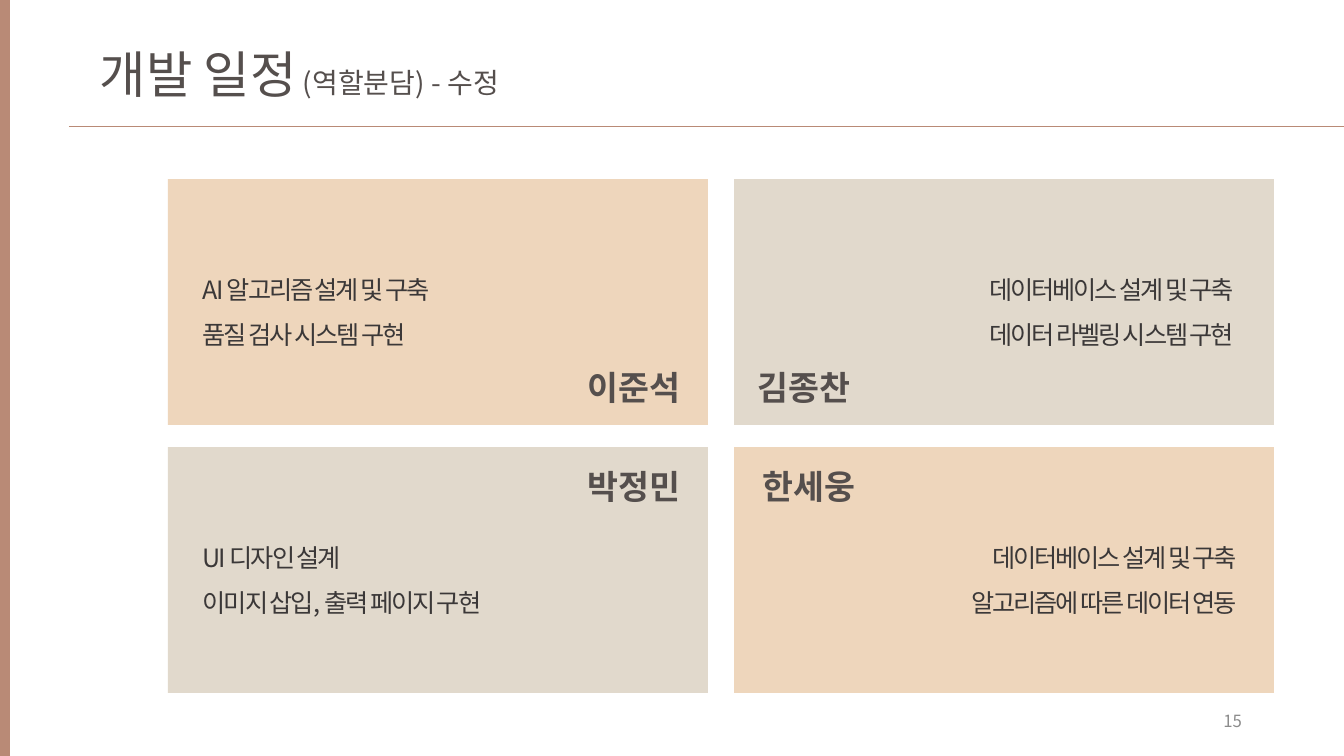
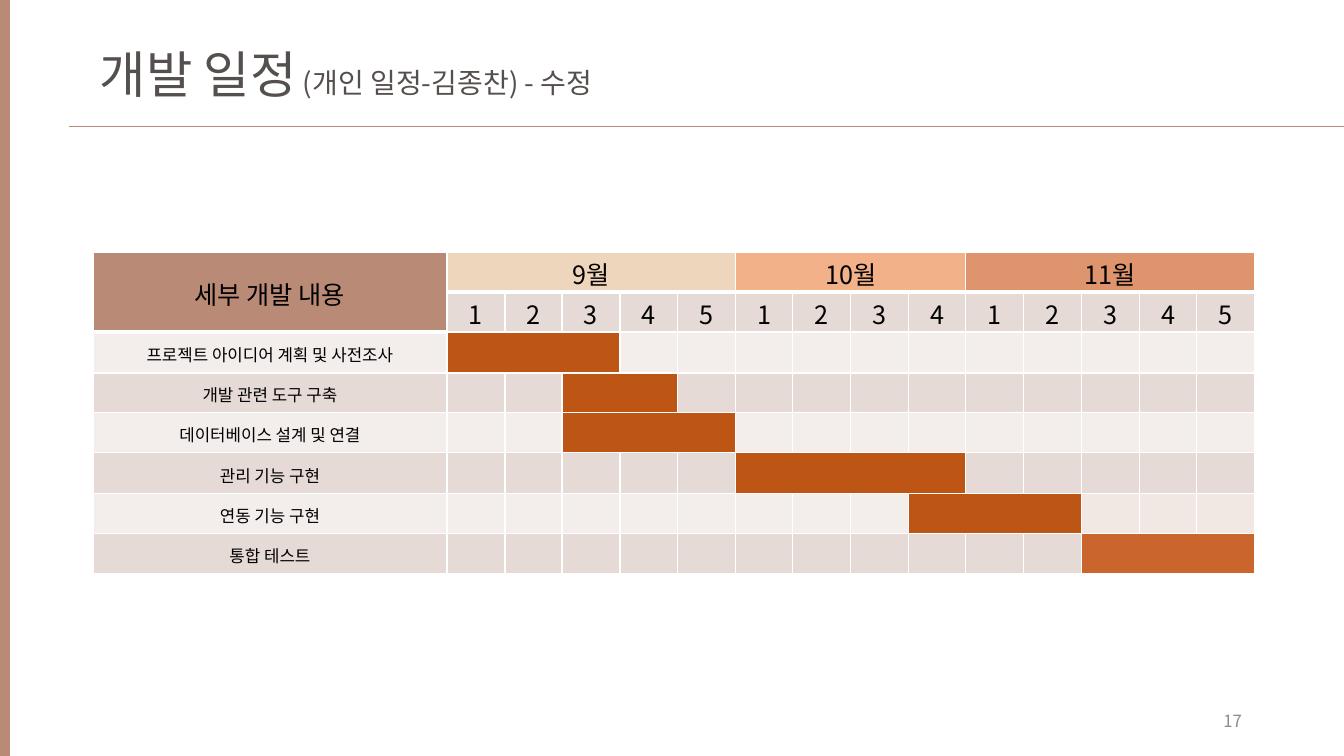
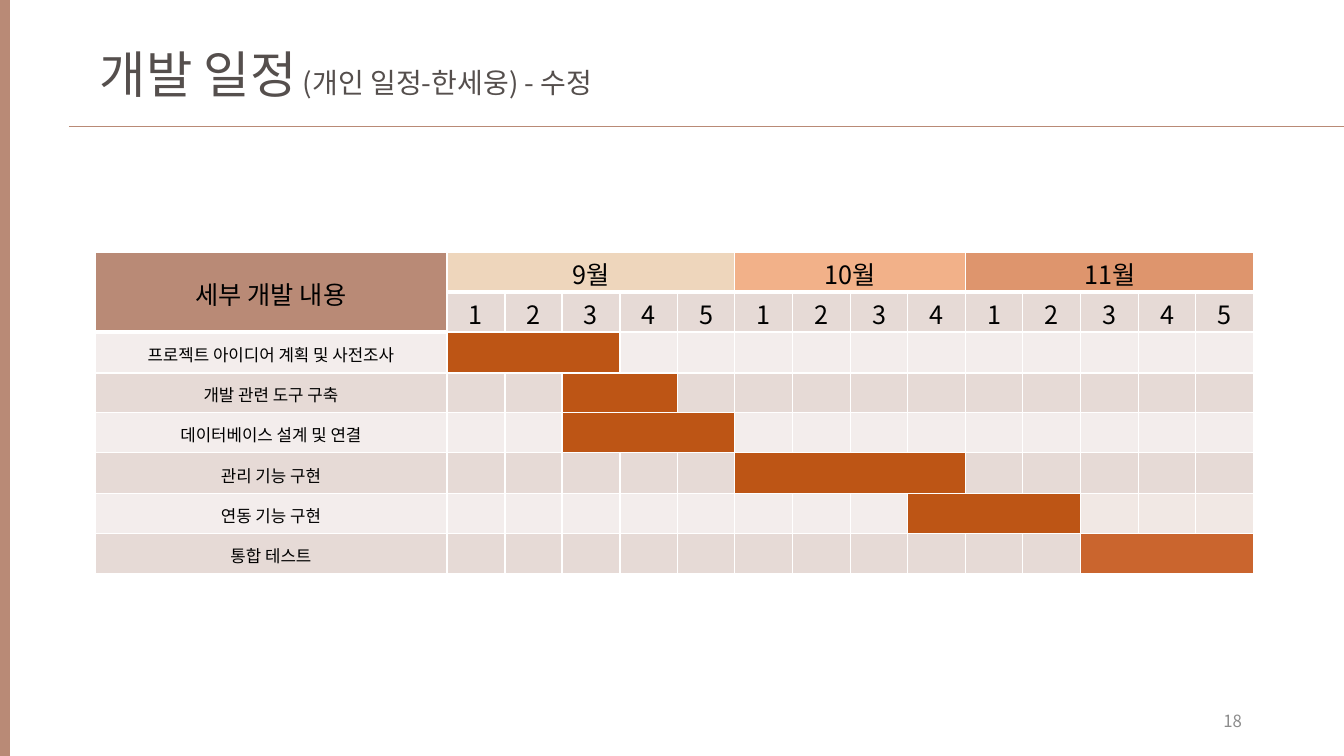
import pptx
import pptx.dml.color
import pptx.enum.shapes
import pptx.enum.text
import pptx.oxml.ns
import pptx.util
from lxml import etree

RGBColor = pptx.dml.color.RGBColor
ALIGN = pptx.enum.text.PP_ALIGN
ANCHOR = pptx.enum.text.MSO_ANCHOR
qn = pptx.oxml.ns.qn

PX = 914400 / 100.8
WIDTH, HEIGHT = 1344, 756
FONT = "Noto Sans CJK KR"

WHITE = RGBColor(0xFF, 0xFF, 0xFF)
BLACK = RGBColor(0x00, 0x00, 0x00)
BROWN = RGBColor(0xB9, 0x8A, 0x76)
TITLE_GREY = RGBColor(0x55, 0x4F, 0x4D)
BODY_GREY = RGBColor(0x3B, 0x38, 0x38)
NUMBER_GREY = RGBColor(0x8C, 0x8C, 0x8C)
PEACH = RGBColor(0xEE, 0xD6, 0xBC)
SAND = RGBColor(0xE1, 0xD9, 0xCC)
APRICOT = RGBColor(0xF2, 0xB1, 0x89)
COPPER = RGBColor(0xDE, 0x95, 0x6D)
ROW_LIGHT = RGBColor(0xF3, 0xED, 0xEC)
ROW_DARK = RGBColor(0xE6, 0xDA, 0xD6)
ROW_WARM = RGBColor(0xF1, 0xE8, 0xE4)
BAR = RGBColor(0xBD, 0x55, 0x15)
BAR_LAST = RGBColor(0xCA, 0x65, 0x2E)

MONTHS = [("9월", 5, PEACH), ("10월", 4, APRICOT), ("11월", 5, COPPER)]
WEEKS = sum(count for _, count, _ in MONTHS)
# task, first week column, number of weeks, bar colour
TASKS = [
    ("프로젝트 아이디어 계획 및 사전조사", 1, 3, BAR),
    ("개발 관련 도구 구축", 3, 2, BAR),
    ("데이터베이스 설계 및 연결", 3, 3, BAR),
    ("관리 기능 구현", 6, 4, BAR),
    ("연동 기능 구현", 9, 3, BAR),
    ("통합 테스트", 12, 3, BAR_LAST),
]
HEADER_ROWS = 2
TABLE_TOP, TABLE_HEIGHT = 252, 322

# card colour, left, top, name, name left, name top, name alignment
CARDS = [
    (PEACH, 168, 179, "이준석", 573, 362, ALIGN.CENTER),
    (SAND, 734, 179, "김종찬", 743, 362, ALIGN.CENTER),
    (SAND, 168, 447, "박정민", 573, 461, ALIGN.CENTER),
    (PEACH, 734, 447, "한세웅", 743, 461, ALIGN.RIGHT),
]
# left, top, width, alignment, lines
ROLES = [
    (193, 254, 277, ALIGN.LEFT, ["AI 알고리즘 설계 및 구축", "품질 검사 시스템 구현"]),
    (947, 254, 297, ALIGN.RIGHT, ["데이터베이스 설계 및 구축", "데이터 라벨링 시스템 구현"]),
    (193, 522, 333, ALIGN.LEFT, ["UI 디자인 설계", "이미지 삽입, 출력 페이지 구현"]),
    (926, 522, 321, ALIGN.RIGHT, ["데이터베이스 설계 및 구축", "알고리즘에 따른 데이터 연동"]),
]


def emu(*lengths):
    return [pptx.util.Emu(round(length * PX)) for length in lengths]


def split(total, count):
    """Cut a whole length into nearly equal whole parts."""
    edges = [round(total * index / count) for index in range(count + 1)]
    return [end - start for start, end in zip(edges, edges[1:])]


class Deck:
    def __init__(self):
        self.presentation = pptx.Presentation()
        self.presentation.slide_width, self.presentation.slide_height = emu(WIDTH, HEIGHT)
        self.slide = None

    def new_slide(self, subtitle, number):
        self.slide = self.presentation.slides.add_slide(self.presentation.slide_layouts[6])
        self.rectangle(0, 0, 10, HEIGHT, BROWN)
        self.rule(69, 126, WIDTH)
        paragraph = self.text(90, 38, 583, 72, [""], None, TITLE_GREY).paragraphs[0]
        for text, size in (("개발 일정", 36), (f" {subtitle} - 수정", 20)):
            run = paragraph.add_run()
            run.text = text
            run.font.size = pptx.util.Pt(size)
        frame = self.text(950, 701, 302, 40, [str(number)], 12, NUMBER_GREY, ALIGN.RIGHT)
        frame.vertical_anchor = ANCHOR.MIDDLE

    def style(self, paragraph, size, color, align=ALIGN.LEFT, bold=None, spacing=None):
        paragraph.alignment = align
        font = paragraph.font
        font.name = FONT
        font.color.rgb = color
        font.bold = bold
        if size:
            font.size = pptx.util.Pt(size)
        properties = paragraph._p.pPr.find(qn("a:defRPr"))
        etree.SubElement(properties, qn("a:ea")).set("typeface", FONT)
        if spacing:
            properties.set("spc", str(round(spacing * 100)))

    def rectangle(self, left, top, width, height, fill):
        shape = self.slide.shapes.add_shape(
            pptx.enum.shapes.MSO_SHAPE.RECTANGLE, *emu(left, top, width, height))
        shape.shadow.inherit = False
        shape.fill.solid()
        shape.fill.fore_color.rgb = fill
        shape.line.fill.background()
        return shape

    def rule(self, left, top, right):
        line = self.slide.shapes.add_connector(
            pptx.enum.shapes.MSO_CONNECTOR.STRAIGHT, *emu(left, top, right, top))
        line.line.color.rgb = BROWN
        line.line.width = pptx.util.Pt(0.5)
        etree.SubElement(line._element.spPr, qn("a:effectLst"))

    def text(self, left, top, width, height, lines, size, color, align=ALIGN.LEFT,
             line_spacing=None, spacing=None):
        frame = self.slide.shapes.add_textbox(*emu(left, top, width, height)).text_frame
        frame.word_wrap = True
        frame.text = "\n".join(lines)
        for paragraph in frame.paragraphs:
            self.style(paragraph, size, color, align, spacing=spacing)
            paragraph.line_spacing = line_spacing
        return frame

    def name_label(self, left, top, name, fill, align):
        frame = self.rectangle(left, top, 122, 50, fill).text_frame
        frame.text = name
        frame.vertical_anchor = ANCHOR.MIDDLE
        self.style(frame.paragraphs[0], 24, TITLE_GREY, align, bold=True)

    def cell(self, cell, fill, text="", size=12, bottom=1):
        cell.text = text
        cell.vertical_anchor = ANCHOR.MIDDLE
        cell.margin_top, cell.margin_bottom = emu(3, 0)
        self.style(cell.text_frame.paragraphs[0], size, BLACK, ALIGN.CENTER)
        properties = cell._tc.get_or_add_tcPr()
        for side, points in (("L", 1), ("R", 1), ("T", 1), ("B", bottom)):
            border = etree.SubElement(properties, qn(f"a:ln{side}"), w=str(points * 12700))
            solid = etree.SubElement(border, qn("a:solidFill"))
            etree.SubElement(solid, qn("a:srgbClr"), val=str(WHITE))
        cell.fill.solid()
        cell.fill.fore_color.rgb = fill

    def schedule(self, left, task_width, weeks_width):
        """Draw the task table with one column a week and merged cells as bars."""
        rows = HEADER_ROWS + len(TASKS)
        table = self.slide.shapes.add_table(
            rows, WEEKS + 1,
            *emu(left, TABLE_TOP, task_width + weeks_width, TABLE_HEIGHT)).table
        table.first_row = table.horz_banding = False
        for column, width in zip(table.columns, [task_width] + split(weeks_width, WEEKS)):
            column.width = emu(width)[0]
        for row, height in zip(table.rows, split(TABLE_HEIGHT, rows)):
            row.height = emu(height)[0]

        self.cell(table.cell(0, 0), BROWN, "세부 개발 내용", 18, bottom=3)
        self.cell(table.cell(1, 0), BROWN, bottom=3)
        table.cell(0, 0).merge(table.cell(1, 0))
        first = 1
        for month, count, color in MONTHS:
            for week in range(count):
                self.cell(table.cell(0, first + week), color, "" if week else month, 18, bottom=3)
                self.cell(table.cell(1, first + week), ROW_DARK, str(week + 1), 18)
            table.cell(0, first).merge(table.cell(0, first + count - 1))
            first += count

        for index, (task, start, count, color) in enumerate(TASKS):
            row = HEADER_ROWS + index
            band = ROW_DARK if index % 2 else ROW_LIGHT
            self.cell(table.cell(row, 0), band, task)
            for column in range(1, WEEKS + 1):
                after_bar = column >= start + count
                fill = ROW_WARM if task == "연동 기능 구현" and after_bar else band
                if start <= column < start + count:
                    fill = color
                self.cell(table.cell(row, column), fill)
            table.cell(row, start).merge(table.cell(row, start + count - 1))


def main():
    deck = Deck()

    deck.new_slide("(역할분담)", 15)
    for color, left, top, *_ in CARDS:
        deck.rectangle(left, top, 540, 246, color)
    for color, _, _, name, left, top, align in CARDS:
        deck.name_label(left, top, name, color, align)
    for left, top, width, align, lines in ROLES:
        deck.text(left, top, width, 96, lines, 18, BODY_GREY, align,
                  line_spacing=1.5, spacing=-1.5)

    for name, number, left, task_width, weeks_width in (
            ("김종찬", 17, 93, 354, 808), ("한세웅", 18, 95, 352, 807)):
        deck.new_slide(f"(개인 일정-{name})", number)
        deck.schedule(left, task_width, weeks_width)

    deck.presentation.save("out.pptx")


if __name__ == "__main__":
    main()
